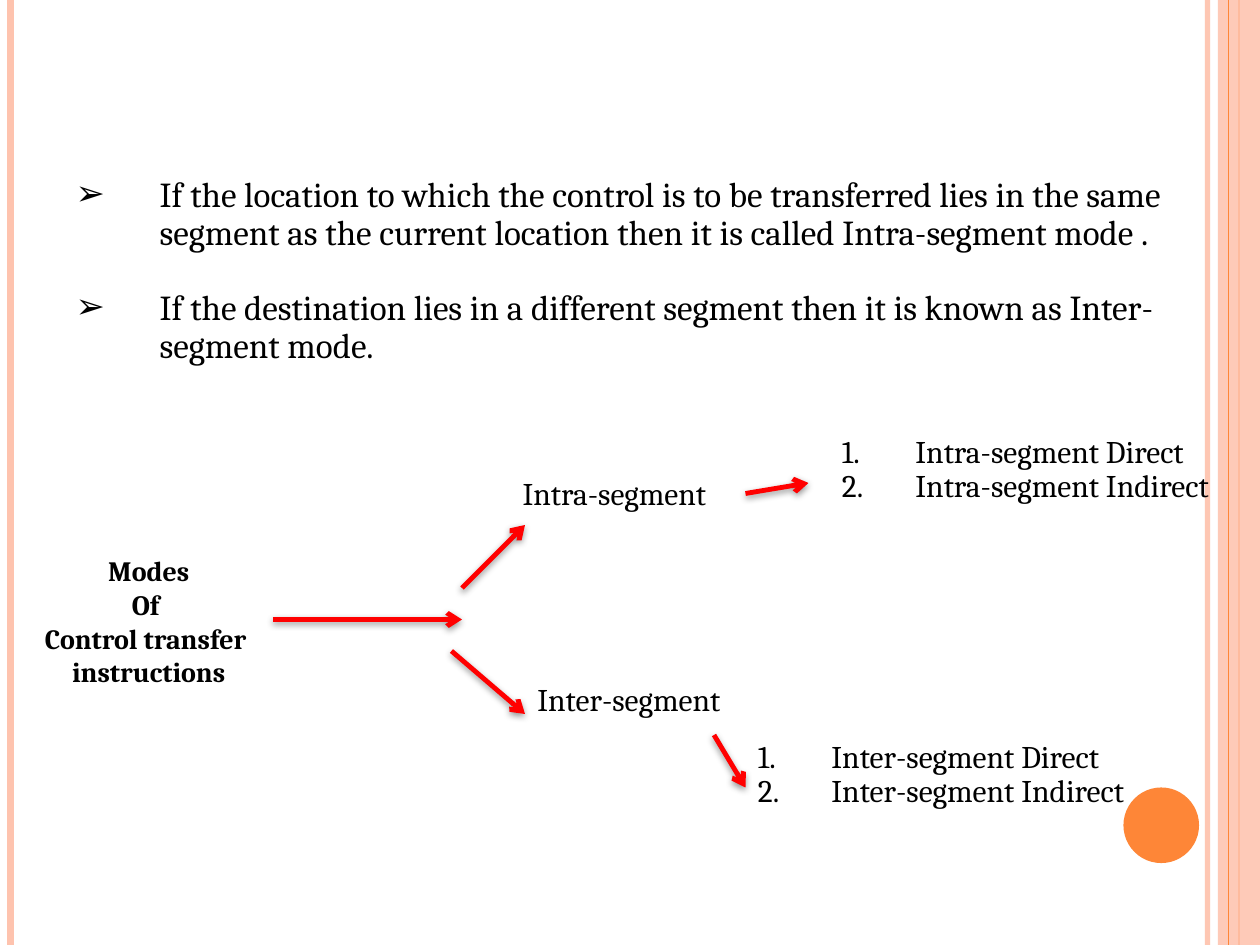
from collections import namedtuple

from lxml import etree
from pptx import Presentation
from pptx.dml.color import RGBColor
from pptx.enum.shapes import MSO_CONNECTOR, MSO_SHAPE
from pptx.enum.text import MSO_ANCHOR, MSO_AUTO_SIZE, PP_ALIGN
from pptx.oxml.ns import qn
from pptx.util import Pt

BLACK = RGBColor(0x00, 0x00, 0x00)
RED = RGBColor(0xFF, 0x00, 0x00)
ORANGE = RGBColor(0xFE, 0x86, 0x37)
PEACH = RGBColor(0xFE, 0xC3, 0xAE)

Box = namedtuple("Box", "left top width height")
SLIDE = Box(0, 0, 720, 540)
BODY = Box(36, 97.5, 654, 137)
DIAGRAM = Box(6, 246, 696, 226)

BODY_FONT = {"name": "Cambria", "size": Pt(20), "bold": False}
LABEL_FONT = {"name": "Cambria", "size": Pt(18), "bold": False}
ROOT_FONT = {"name": "Cambria", "size": Pt(16), "bold": True}
INDENTED = {"line_spacing": 0.9, "space_before": Pt(0)}
CENTRED = {"alignment": PP_ALIGN.CENTER}

BODY_TEXTS = [
    "If the location to which the control is to be transferred lies in the same "
    "segment as the current location then it is called Intra-segment mode .",
    "If the destination lies in a different segment then it is known as "
    "Inter-segment mode.",
]
ROOT_LINES = ["Modes", "Of ", "Control transfer ", "instructions"]
MODE_LABELS = [
    ("Intra-segment", Box(249.5, 24, 171, 27)),
    ("Inter-segment", Box(258, 141.5, 240, 27)),
]
MODE_LISTS = [
    (["Intra-segment Direct", "Intra-segment Indirect"], Box(432, 0, 264, 47)),
    (["Inter-segment Direct", "Inter-segment Indirect"], Box(384, 174, 300, 47)),
]
ARROWS = [
    (150, 108, 258, 108),
    (258, 90, 294, 54),
    (252, 126, 294, 162),
    (420, 36, 456, 30),
    (402, 174, 420, 204),
]


def set_values(target, values):
    for name, value in values.items():
        setattr(target, name, value)


def add_element(parent, tag, **attributes):
    return etree.SubElement(parent, qn(tag), attributes)


def set_opacity(shape, percent):
    """Apply opacity to the first solid colour of a shape or line."""
    color = next(shape._element.spPr.iter(qn("a:srgbClr")))
    add_element(color, "a:alpha", val=str(percent * 1000))


def indent(paragraph, left, first, bullet=None, **attributes):
    """Set a hanging indent in points, with an optional bullet element."""
    properties = paragraph._p.get_or_add_pPr()
    properties.set("marL", str(Pt(left)))
    properties.set("indent", str(Pt(first)))
    add_element(properties, bullet or "a:buNone", **attributes)


def write(text_frame, texts, font, layout, marker=None):
    """Write one paragraph per text; marker holds the arguments of indent."""
    set_values(text_frame, {
        "word_wrap": True,
        "auto_size": MSO_AUTO_SIZE.NONE,
        "vertical_anchor": MSO_ANCHOR.TOP,
    })
    for index, text in enumerate(texts):
        paragraph = text_frame.add_paragraph() if index else text_frame.paragraphs[0]
        if marker:
            indent(paragraph, **marker)
        set_values(paragraph, layout)
        run = paragraph.add_run()
        run.text = text
        set_values(run.font, font)
        run.font.color.rgb = BLACK


def add_text(slide, area, box, *content):
    """Add a text box whose box is relative to the area."""
    shape = slide.shapes.add_textbox(
        Pt(area.left + box.left), Pt(area.top + box.top), Pt(box.width), Pt(box.height))
    write(shape.text_frame, *content)


def add_line(slide, start, end, color, width):
    line = slide.shapes.add_connector(
        MSO_CONNECTOR.STRAIGHT, *(Pt(value) for value in (*start, *end)))
    line.line.color.rgb = color
    line.line.width = Pt(width)
    add_element(line._element.spPr, "a:effectLst")
    return line


def add_arrow(slide, start, end):
    arrow = add_line(slide, start, end, RED, 2.75)
    add_element(arrow.line._ln, "a:tailEnd", type="arrow")
    effects = arrow._element.spPr.find(qn("a:effectLst"))
    shadow = add_element(effects, "a:outerShdw", blurRad=str(Pt(4)),
                         dist=str(Pt(1.6)), dir="5400000", rotWithShape="0")
    color = add_element(shadow, "a:srgbClr", val=str(BLACK))
    add_element(color, "a:alpha", val="42000")


def add_filled_shape(slide, kind, box, color):
    shape = slide.shapes.add_shape(kind, *(Pt(value) for value in box))
    shape.shadow.inherit = False
    shape.fill.solid()
    shape.fill.fore_color.rgb = color
    shape.line.fill.background()
    return shape


def build_frame(slide, box):
    """Draw the side stripes and the circle at the lower right."""
    right, bottom = box.left + box.width, box.top + box.height

    def stripe(x, color, width):
        return add_line(slide, (x, box.top), (x, bottom), color, width)

    set_opacity(stripe(right - 30, PEACH, 3), 93)
    stripe(box.left + 6, PEACH, 4.5)
    stripe(right - 12, ORANGE, 1.5)
    band = Box(right - 24, box.top, 24, box.height)
    set_opacity(add_filled_shape(slide, MSO_SHAPE.RECTANGLE, band, PEACH), 87)
    stripe(right - 18, ORANGE, 0.75)
    circle = Box(right - 78, bottom - 90, 43.2, 43.2)
    add_filled_shape(slide, MSO_SHAPE.OVAL, circle, ORANGE)


def build_body(slide, box):
    body = slide.placeholders[1]
    set_values(body, {name: Pt(value) for name, value in box._asdict().items()})
    marker = {"left": 48, "first": -48, "bullet": "a:buChar", "char": "➢"}
    write(body.text_frame, BODY_TEXTS, BODY_FONT, INDENTED, marker)
    body.text_frame.paragraphs[1].space_before = Pt(21.5)


def build_diagram(slide, box):
    """Draw the tree of transfer modes inside the box."""
    add_text(slide, box, Box(2, 67, 154, 87), ROOT_LINES, ROOT_FONT, CENTRED)
    label_marker = {"left": 78, "first": -42}
    list_marker = {**label_marker, "bullet": "a:buAutoNum", "type": "arabicPeriod"}
    for text, place in MODE_LABELS:
        add_text(slide, box, place, [text], LABEL_FONT, INDENTED, label_marker)
    for texts, place in MODE_LISTS:
        add_text(slide, box, place, texts, LABEL_FONT, INDENTED, list_marker)
    for x1, y1, x2, y2 in ARROWS:
        add_arrow(slide, (box.left + x1, box.top + y1), (box.left + x2, box.top + y2))


def main():
    presentation = Presentation()
    presentation.slide_width = Pt(SLIDE.width)
    presentation.slide_height = Pt(SLIDE.height)
    slide = presentation.slides.add_slide(presentation.slide_layouts[1])
    title = slide.shapes.title._element
    title.getparent().remove(title)
    build_frame(slide, SLIDE)
    build_body(slide, BODY)
    build_diagram(slide, DIAGRAM)
    presentation.save("out.pptx")


if __name__ == "__main__":
    main()
